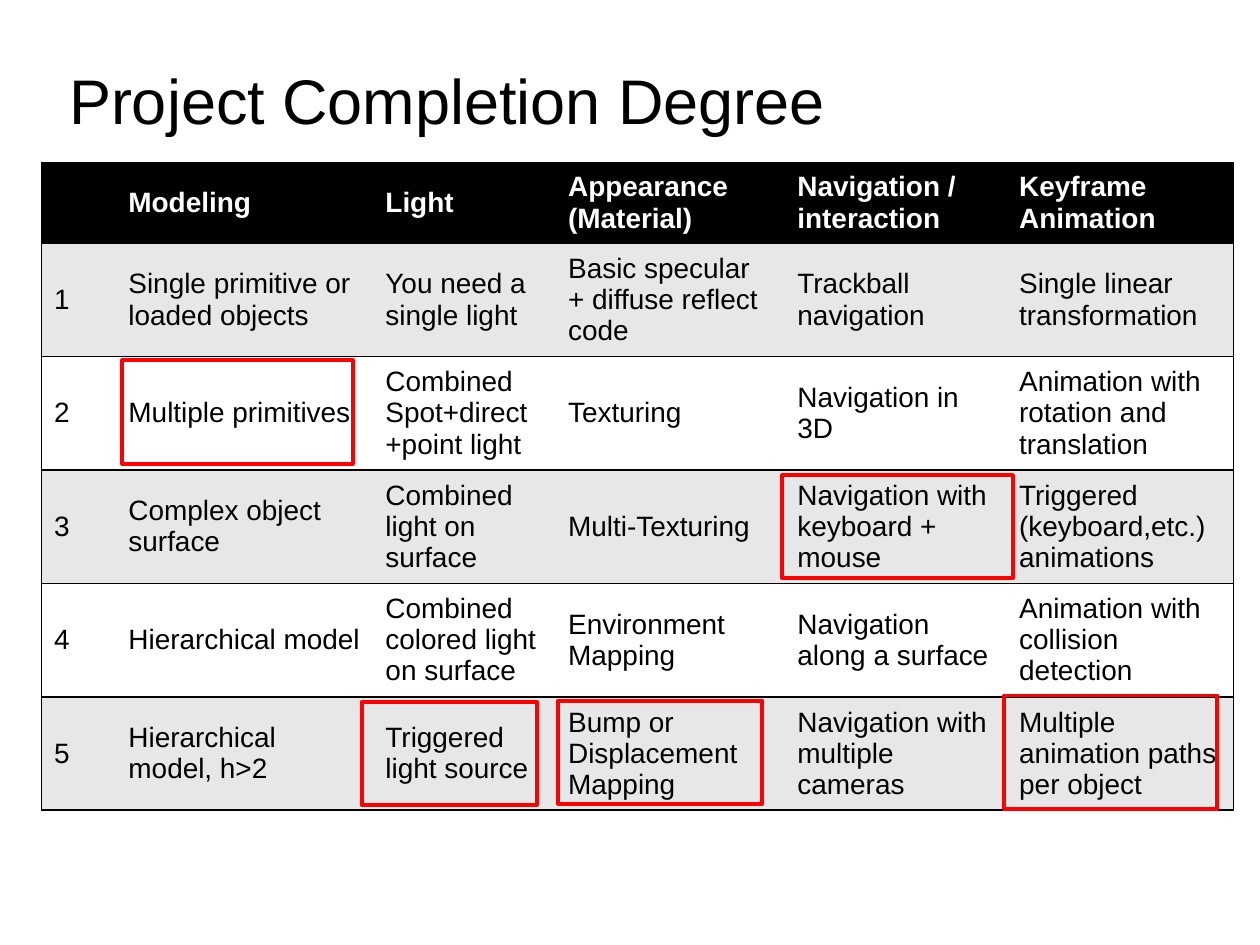
import pptx
import pptx.util
import pptx.dml.color
import pptx.enum.shapes
import pptx.enum.text
import pptx.oxml
import pptx.oxml.ns

Inches, Pt = pptx.util.Inches, pptx.util.Pt
RGBColor = pptx.dml.color.RGBColor

BLACK = RGBColor(0, 0, 0)
WHITE = RGBColor(255, 255, 255)
GRAY = RGBColor(0xE7, 0xE7, 0xE7)
RED = RGBColor(255, 0, 0)

COLS = [0.59, 2.04, 1.45, 1.82, 1.76, 1.8]
HEAD, BODY = 0.64, 0.9
ROWS = [
    ["", "Modeling", "Light", "Appearance\n(Material)",
     "Navigation / interaction", "Keyframe\nAnimation"],
    ["1", "Single primitive or loaded objects", "You need a single light",
     "Basic specular + diffuse reflect code", "Trackball navigation",
     "Single linear transformation"],
    ["2", "Multiple primitives", "Combined Spot+direct+point light",
     "Texturing", "Navigation in 3D",
     "Animation with rotation and translation"],
    ["3", "Complex object surface", "Combined light on surface",
     "Multi-Texturing", "Navigation with keyboard + mouse",
     "Triggered (keyboard,etc.) animations"],
    ["4", "Hierarchical model", "Combined colored light on surface",
     "Environment Mapping", "Navigation along a surface",
     "Animation with collision detection"],
    ["5", "Hierarchical model, h>2", "Triggered light source",
     "Bump or Displacement Mapping", "Navigation with multiple cameras",
     "Multiple animation paths per object"],
]
# Reached level of each topic: left, top, width, height
MARKS = [
    (0.97, 2.86, 1.83, 0.82),
    (2.87, 5.57, 1.39, 0.82),
    (7.97, 5.52, 1.69, 0.9),
    (4.43, 5.56, 1.62, 0.82),
    (6.21, 3.77, 1.83, 0.82),
]


class Deck:
    font = "Arial"

    def __init__(self, slide):
        self.slide = slide

    def style(self, frame, size, color, bold=False):
        for par in frame.paragraphs:
            par.font.name = self.font
            par.font.size = Pt(size)
            par.font.bold = bold
            par.font.color.rgb = color

    def title(self, text, *box):
        frame = self.slide.shapes.add_textbox(*map(Inches, box)).text_frame
        frame.word_wrap = True
        frame.text = text
        self.style(frame, 36, BLACK)

    def edge(self, cell, side, shown):
        paint = f'<a:solidFill><a:srgbClr val="{BLACK}"/></a:solidFill>'
        line = pptx.oxml.parse_xml(
            f'<a:ln{side} {pptx.oxml.ns.nsdecls("a")} w="{Pt(1)}">'
            f'{paint if shown else "<a:noFill/>"}</a:ln{side}>')
        cell._tc.get_or_add_tcPr().append(line)

    def table(self, rows, left, top):
        high = HEAD + BODY * (len(rows) - 1)
        grid = self.slide.shapes.add_table(
            len(rows), len(COLS), Inches(left), Inches(top),
            Inches(sum(COLS)), Inches(high)).table
        for col, width in zip(grid.columns, COLS):
            col.width = Inches(width)
        for r, row in enumerate(rows):
            grid.rows[r].height = Inches(BODY if r else HEAD)
            back = (GRAY if r % 2 else WHITE) if r else BLACK
            for c, text in enumerate(row):
                cell = grid.cell(r, c)
                cell.text = text
                cell.vertical_anchor = pptx.enum.text.MSO_ANCHOR.MIDDLE
                self.style(cell.text_frame, 16, BLACK if r else WHITE, r == 0)
                # Only outer sides and row rules are drawn
                self.edge(cell, "L", c == 0)
                self.edge(cell, "R", c == len(row) - 1)
                self.edge(cell, "T", True)
                self.edge(cell, "B", True)
                cell.fill.solid()
                cell.fill.fore_color.rgb = back

    def mark(self, *box):
        rect = self.slide.shapes.add_shape(
            pptx.enum.shapes.MSO_SHAPE.RECTANGLE, *map(Inches, box))
        rect.shadow.inherit = False
        rect.fill.background()
        rect.line.color.rgb = RED
        rect.line.width = Pt(2.25)


def main():
    show = pptx.Presentation()
    show.slide_width, show.slide_height = Inches(10), Inches(7.5)
    deck = Deck(show.slides.add_slide(show.slide_layouts[6]))

    # Title and grading table
    deck.title("Project Completion Degree", 0.45, 0.44, 8.8, 0.71)
    deck.table(ROWS, 0.33, 1.29)

    # Frames around the reached levels
    for box in MARKS:
        deck.mark(*box)

    show.save("out.pptx")


if __name__ == "__main__":
    main()
